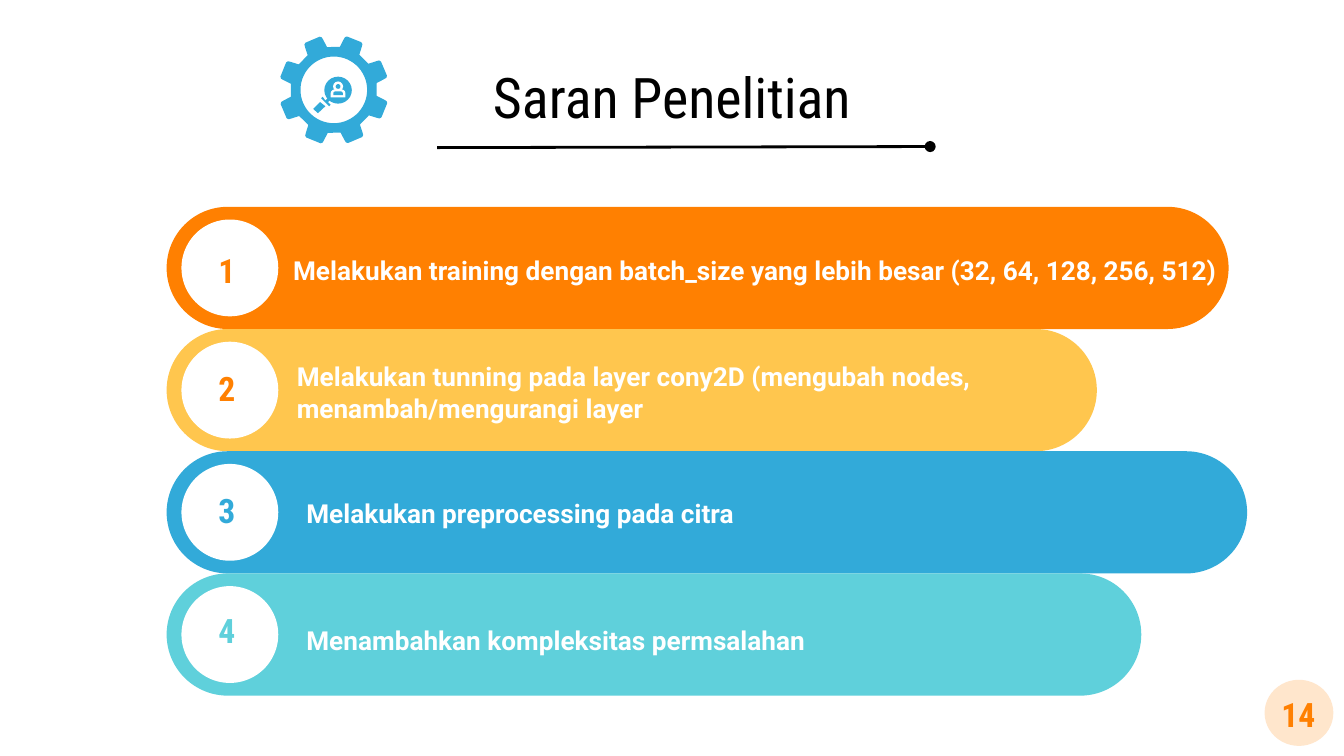
import math

import pptx
import pptx.dml.color
import pptx.enum.shapes
import pptx.enum.text
import pptx.oxml
import pptx.oxml.ns
import pptx.util

Cm = pptx.util.Cm
SHAPE = pptx.enum.shapes.MSO_SHAPE
ALIGN = pptx.enum.text.PP_ALIGN

COLORS = {
    "orange": "FF8001",
    "yellow": "FFC64E",
    "blue": "32AAD9",
    "teal": "5FD0DB",
    "peach": "FFE6CC",
    "white": "FFFFFF",
    "black": "000000",
}


def rgb(name):
    return pptx.dml.color.RGBColor.from_string(COLORS[name])


def polar(cx, cy, radius, degrees):
    """Point at an angle measured clockwise from the top."""
    a = math.radians(degrees)
    return cx + radius * math.sin(a), cy - radius * math.cos(a)


class Deck:
    """Style and current slide; all lengths are in centimetres."""

    heading_font = "Roboto Condensed"
    body_font = "Roboto"

    def __init__(self, s):
        self.s = s

    def paint(self, sp, color):
        sp.shadow.inherit = False
        sp.fill.solid()
        sp.fill.fore_color.rgb = rgb(color)
        sp.line.fill.background()
        return sp

    def shape(self, kind, x, y, w, h, color):
        sp = self.s.shapes.add_shape(kind, Cm(x), Cm(y), Cm(w), Cm(h))
        return self.paint(sp, color)

    def outline(self, contours, color):
        """Closed polygon; contours after the first cut holes."""
        points = [[(Cm(x), Cm(y)) for x, y in c] for c in contours]
        builder = self.s.shapes.build_freeform(*points[0][0])
        builder.add_line_segments(points[0][1:])
        for hole in points[1:]:
            builder.move_to(*hole[0])
            builder.add_line_segments(hole[1:])
        return self.paint(builder.convert_to_shape(), color)

    def set_text(self, sp, text, size, font, color, bold, align, side_inset):
        tf = sp.text_frame
        tf.word_wrap = True
        tf.auto_size = pptx.enum.text.MSO_AUTO_SIZE.NONE
        tf.vertical_anchor = pptx.enum.text.MSO_ANCHOR.MIDDLE
        tf.margin_left = tf.margin_right = Cm(side_inset)
        tf.margin_top = tf.margin_bottom = Cm(0.25)
        p = tf.paragraphs[0]
        p.alignment = align
        r = p.add_run()
        r.text = text
        r.font.size = pptx.util.Pt(size)
        r.font.name = font
        r.font.bold = bold
        r.font.color.rgb = rgb(color)

    def title(self, text, x, y, w, h):
        sp = self.s.shapes.title
        sp.left, sp.top, sp.width, sp.height = Cm(x), Cm(y), Cm(w), Cm(h)
        self.set_text(sp, text, 30, self.heading_font, "black", False,
                      ALIGN.CENTER, 0.25)

    def body(self, text, x, y, w):
        sp = self.s.shapes.add_textbox(Cm(x), Cm(y), Cm(w), Cm(1.73))
        self.set_text(sp, text, 14, self.body_font, "white", True,
                      ALIGN.LEFT, 0)

    def number(self, text, x, y, color):
        sp = self.s.shapes.add_textbox(Cm(x), Cm(y), Cm(2.24), Cm(0.56))
        self.set_text(sp, text, 18, self.heading_font, color, True,
                      ALIGN.CENTER, 0.25)

    def rule(self, x1, y1, x2, y2):
        """Black line with a round end."""
        line = self.s.shapes.add_connector(
            pptx.enum.shapes.MSO_CONNECTOR.STRAIGHT,
            Cm(x1), Cm(y1), Cm(x2), Cm(y2))
        line.line.color.rgb = rgb("black")
        line.line.width = pptx.util.Pt(1.5)
        qn = pptx.oxml.ns.qn
        sp_pr = line.element.spPr
        ln = sp_pr.find(qn("a:ln"))
        ln.append(ln.makeelement(qn("a:tailEnd"), {"type": "oval"}))
        sp_pr.append(sp_pr.makeelement(qn("a:effectLst"), {}))

    def gear(self, cx, cy):
        tooth = [(0.82, -14), (0.97, -11), (1.02, -10), (1.04, -8),
                 (1.04, 8), (1.02, 10), (0.97, 11), (0.82, 14)]
        rim = [polar(cx, cy, radius, 22 + 45 * i + turn)
               for i in range(8) for radius, turn in tooth]
        hole = [polar(cx, cy, 0.63, -6 * i) for i in range(60)]
        self.outline([rim, hole], "blue")

    def person(self, cx, head_y, head, body_y, body_w, body_h, color):
        self.shape(SHAPE.OVAL, cx - head / 2, head_y, head, head, color)
        sp = self.shape(SHAPE.ROUND_2_SAME_RECTANGLE, cx - body_w / 2, body_y,
                        body_w, body_h, color)
        sp.adjustments[0] = 0.5

    def magnifier(self):
        """Lens with a person in it, and its handle."""
        self.shape(SHAPE.OVAL, 6.13, 1.45, 0.52, 0.51, "blue")
        self.person(6.39, 1.54, 0.19, 1.69, 0.28, 0.15, "white")
        self.person(6.39, 1.59, 0.09, 1.73, 0.18, 0.07, "blue")
        self.outline([[(6.2, 1.85), (6.15, 1.9), (6.1, 1.83), (6.07, 1.86),
                       (6.22, 2.01), (6.25, 1.98), (6.2, 1.93),
                       (6.25, 1.88)]], "blue")
        self.outline([[(6.05, 1.93), (5.92, 2.06), (6.01, 2.14),
                       (6.15, 2.01)]], "blue")


# bar colour, bar width, number colour, number top, text, text left, top, width
SUGGESTIONS = [
    ("orange", 20.07, "orange", 4.83,
     "Melakukan training dengan batch_size yang lebih besar "
     "(32, 64, 128, 256, 512)", 5.54, 4.24, 17.65),
    ("yellow", 17.58, "orange", 7.06,
     "Melakukan tunning pada layer cony2D (mengubah nodes, "
     "menambah/mengurangi layer", 5.61, 6.55, 13.49),
    ("blue", 20.42, "blue", 9.37,
     "Melakukan preprocessing pada citra", 5.79, 8.84, 13.49),
    ("teal", 18.42, "teal", 11.63,
     "Menambahkan kompleksitas permsalahan", 5.79, 11.23, 13.49),
]
BAR_LEFT, BAR_TOP, BAR_HEIGHT = 3.15, 3.91, 2.31
DISC = 1.83


def main():
    prs = pptx.Presentation()
    prs.slide_width, prs.slide_height = Cm(25.4), Cm(14.29)
    deck = Deck(prs.slides.add_slide(prs.slide_layouts[5]))

    deck.title("Saran Penelitian", 1.27, 1.14, 22.86, 1.35)
    deck.gear(6.31, 1.7)
    deck.magnifier()
    deck.rule(8.26, 2.79, 17.58, 2.77)

    for i, (color, width, number_color, number_top,
            text, x, y, text_width) in enumerate(SUGGESTIONS):
        top = BAR_TOP + i * BAR_HEIGHT
        bar = deck.shape(SHAPE.ROUNDED_RECTANGLE, BAR_LEFT, top, width,
                         BAR_HEIGHT, color)
        bar.adjustments[0] = 0.5
        deck.shape(SHAPE.OVAL, 3.43, top + (BAR_HEIGHT - DISC) / 2, DISC,
                   DISC, "white")
        deck.body(text, x, y, text_width)
        deck.number(str(i + 1), 3.17, number_top, number_color)

    deck.shape(SHAPE.OVAL, 23.9, 12.85, 1.3, 1.25, "peach")
    deck.number("14", 23.42, 13.21, "orange")
    prs.save("out.pptx")


if __name__ == "__main__":
    main()
